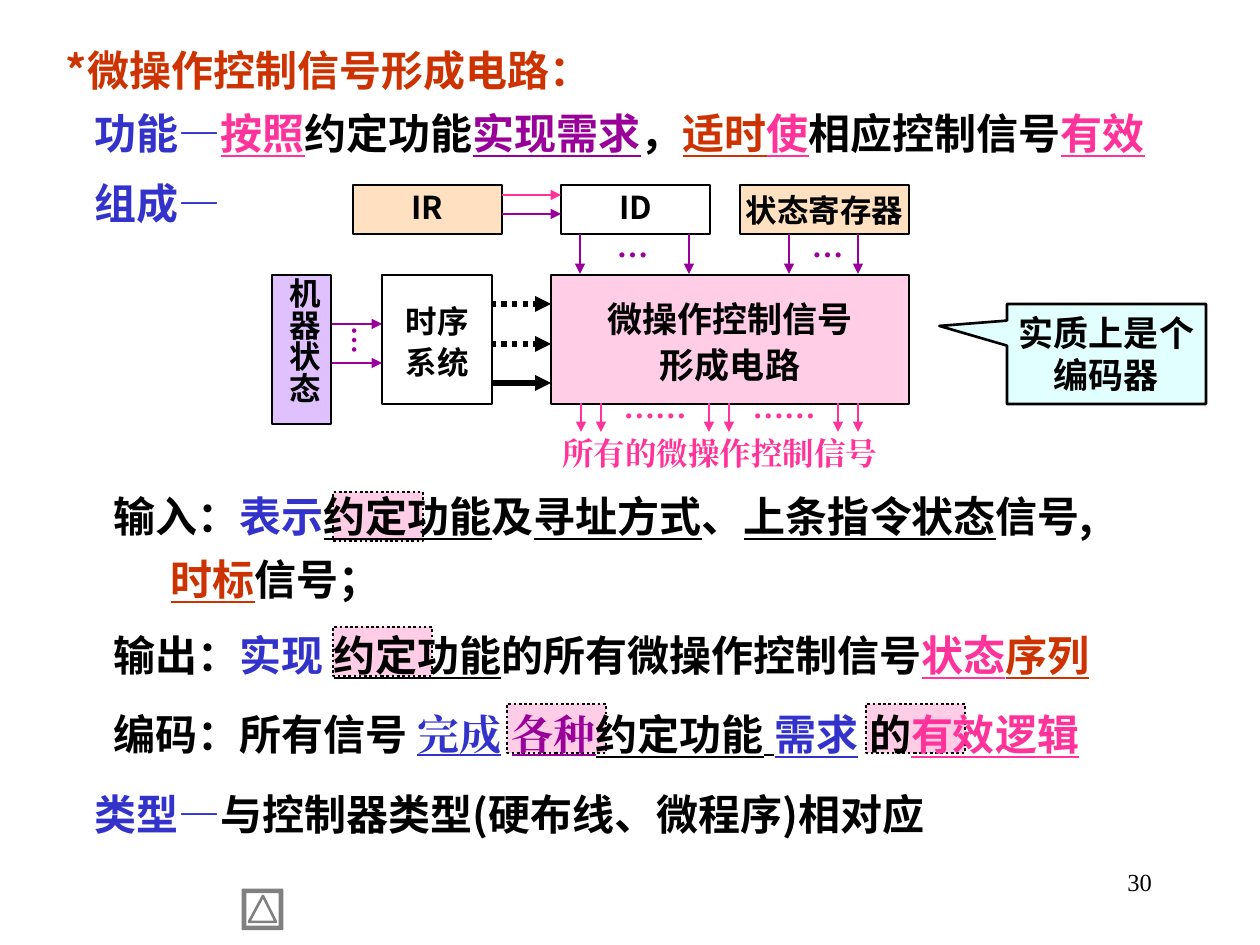
from lxml.etree import SubElement
from pptx import Presentation
from pptx.dml.color import RGBColor
from pptx.enum.dml import MSO_LINE
from pptx.enum.shapes import MSO_CONNECTOR, MSO_SHAPE
from pptx.enum.text import MSO_ANCHOR, PP_ALIGN
from pptx.oxml.ns import qn
from pptx.util import Pt

SCALE = 914400 / 126  # EMU per px
SANS = "Noto Sans CJK SC"
SERIF = "Times New Roman"

BLACK = RGBColor(0, 0, 0)
GRAY = RGBColor(0x80, 0x80, 0x80)
RED = RGBColor(0xCC, 0x33, 0x00)
BLUE = RGBColor(0x33, 0x33, 0xCC)
PINK = RGBColor(0xFF, 0x33, 0x99)
PURPLE = RGBColor(0x99, 0x00, 0x99)
ROSE = RGBColor(0xFF, 0x99, 0xCC)
PEACH = RGBColor(0xFF, 0xCC, 0x99)
LILAC = RGBColor(0xCC, 0x99, 0xFF)
AQUA = RGBColor(0xCC, 0xFF, 0xFF)


def px(*lengths):
    return [round(length * SCALE) for length in lengths]


def format_span(span, size, color, font=SANS, bold=True, underline=False):
    span.font.size = Pt(size)
    span.font.bold = bold
    span.font.color.rgb = color
    span.font.name = font
    if underline:
        span.font.underline = True
    SubElement(span.font._element, qn("a:ea")).set("typeface", font)


def set_frame(box, insets, anchor=MSO_ANCHOR.TOP, vertical=False):
    frame = box.text_frame
    frame.word_wrap = True
    frame.vertical_anchor = anchor
    (frame.margin_left, frame.margin_top,
     frame.margin_right, frame.margin_bottom) = px(*insets)
    if vertical:
        frame._txBody.bodyPr.set("vert", "eaVert")
    return frame


def write_label(box, text, size=18, color=BLACK, font=SANS, spacing=1.0,
                vertical=False, align=PP_ALIGN.CENTER):
    insets = (1, 3, 1, 3) if vertical else (3, 1, 3, 1)
    frame = set_frame(box, insets, MSO_ANCHOR.MIDDLE, vertical)
    frame.text = text
    for para in frame.paragraphs:
        para.alignment = align
        para.line_spacing = spacing
        for span in para.runs:
            format_span(span, size, color, font)


def add_block(page, place, fill=None, opacity=60, kind=MSO_SHAPE.RECTANGLE):
    block = page.shapes.add_shape(kind, *px(*place))
    block.shadow.inherit = False
    block.line.color.rgb = BLACK
    block.line.width = Pt(1.5)
    if fill is None:
        block.fill.background()
    else:
        block.fill.solid()
        block.fill.fore_color.rgb = fill
        tint = block.fill._xPr.find(qn("a:solidFill"))[0]
        SubElement(tint, qn("a:alpha")).set("val", str(opacity * 1000))
    return block


def add_highlight(page, left, top, width=99):
    block = add_block(page, (left, top, width, 49), ROSE, 49)
    block.line.dash_style = MSO_LINE.ROUND_DOT


def add_label(page, place, text, **style):
    write_label(page.shapes.add_textbox(*px(*place)), text, **style)


def add_arrow(page, start, end, color, width=1.5, dotted=False):
    arrow = page.shapes.add_connector(MSO_CONNECTOR.STRAIGHT, *px(*start, *end))
    arrow.line.color.rgb = color
    arrow.line.width = Pt(width)
    if dotted:
        arrow.line.dash_style = MSO_LINE.ROUND_DOT
    SubElement(arrow.line._get_or_add_ln(), qn("a:tailEnd")).set("type", "triangle")
    SubElement(arrow._element.spPr, qn("a:effectLst"))


def add_statement(page, top, *lines):
    """Add a text box; each line is (indent px, [(text, color[, underline[, font]])])."""
    box = page.shapes.add_textbox(*px(25, top, 1211, 76 if len(lines) == 1 else 139))
    frame = set_frame(box, (13, 6, 13, 6))
    for number, (indent, spans) in enumerate(lines):
        para = frame.add_paragraph() if number else frame.paragraphs[0]
        para.line_spacing = 1.25
        para._p.get_or_add_pPr().set("marL", str(px(indent)[0]))
        for text, color, *style in spans:
            underline, font = (style + [False, SANS][len(style):])
            span = para.add_run()
            span.text = text
            format_span(span, 24, color, font, underline=underline)


def add_return_button(page):
    outer = [(243, 890), (282, 890), (282, 929), (243, 929)]
    inner = [(245, 892), (280, 892), (280, 927), (245, 927)]
    outlines = [[outer[i - 1], outer[i], inner[i], inner[i - 1]] for i in range(4)]
    outlines.append([(263, 896), (276, 922), (249, 922)])
    builder = page.shapes.build_freeform(*outlines[0][0], scale=SCALE)
    for number, points in enumerate(outlines):
        if number:
            builder.move_to(*points[0])
        builder.add_line_segments(points[1:], close=True)
    button = builder.convert_to_shape()
    button.shadow.inherit = False
    button.fill.background()
    button.line.color.rgb = GRAY
    button.line.width = Pt(1.5)


def add_circuit(page):
    write_label(add_block(page, (382, 275, 110, 129)), "时序\n系统", spacing=1.1)
    write_label(add_block(page, (551, 275, 358, 129), ROSE, 49),
                "微操作控制信号\n形成电路", size=20, spacing=1.1)
    write_label(add_block(page, (353, 185, 149, 49), PEACH), "IR", spacing=0.85)
    write_label(add_block(page, (561, 185, 149, 49)), "ID", spacing=0.85)
    write_label(add_block(page, (740, 185, 169, 49), PEACH), "状态寄存器")
    write_label(add_block(page, (272, 275, 59, 149), LILAC), "机器状态",
                spacing=0.9, vertical=True)

    for y, color in ((195, PINK), (214, PURPLE)):
        add_arrow(page, (502, y), (561, y), color)
    for y in (324, 363):
        add_arrow(page, (332, y), (382, y), PURPLE)
    for y, dotted in ((304, True), (344, True), (383, False)):
        add_arrow(page, (491, y), (551, y), BLACK, 3, dotted)
    for x in (580, 689, 789, 858):
        add_arrow(page, (x, 234), (x, 274), PURPLE)
    for x in (581, 601, 709, 729, 838, 858):
        add_arrow(page, (x, 403), (x, 432), PINK)

    for x in (614, 809):
        add_label(page, (x, 234, 35, 29), "…", color=PURPLE, font=SERIF,
                  spacing=0.8, align=PP_ALIGN.LEFT)
    add_label(page, (343, 324, 35, 40), "…", size=16, color=PURPLE, font=SERIF,
              spacing=0.8, vertical=True)
    for x in (600, 729):
        add_label(page, (x, 393, 110, 30), "……", color=PINK, font=SERIF, spacing=0.9)
    add_label(page, (551, 433, 338, 39), "所有的微操作控制信号", color=PINK, font=SERIF)

    callout = add_block(page, (1007, 304, 199, 100), AQUA, 59,
                        MSO_SHAPE.RECTANGULAR_CALLOUT)
    callout.adjustments[0] = -0.84
    callout.adjustments[1] = -0.28
    write_label(callout, "实质上是个编码器", size=20)


def add_statements(page):
    add_statement(
        page, 26,
        (28, [("*微操作控制信号形成电路：", RED)]),
        (57, [("功能—", BLUE), ("按照", PINK, True), ("约定功能", BLACK),
              ("实现需求", PURPLE, True), ("，", BLACK), ("适时", RED, True),
              ("使", PINK, True), ("相应控制信号", BLACK), ("有效", PINK, True)]))
    add_statement(page, 159, (57, [("组成—", BLUE)]))
    add_statement(page, 770, (57, [("类型—", BLUE),
                                   ("与控制器类型(硬布线、微程序)相对应", BLACK)]))
    add_highlight(page, 333, 627)
    add_statement(
        page, 611,
        (76, [("输出：", BLACK), ("实现 ", BLUE), ("约定功能", BLACK, True),
              ("的所有微操作控制信号", BLACK), ("状态", PINK, True),
              ("序列", RED, True)]))
    add_highlight(page, 333, 492, 90)
    add_statement(
        page, 472,
        (76, [("输入：", BLACK), ("表示", BLUE), ("约定功能", BLACK, True),
              ("及", BLACK), ("寻址方式", BLACK, True), ("、", BLACK),
              ("上条指令状态", BLACK, True), ("信号,", BLACK)]),
        (133, [("时标", RED, True), ("信号；", BLACK)]))
    for left in (507, 866):
        add_highlight(page, left, 704)
    add_statement(
        page, 690,
        (76, [("编码：所有信号 ", BLACK), ("完成", BLUE, True, SERIF),
              (" ", BLUE, False, SERIF), ("各种", PURPLE, True, SERIF),
              ("约定功能", BLACK, True), (" ", BLACK, True, SERIF),
              ("需求", BLUE, True), (" ", BLUE, False, SERIF),
              ("的", BLACK), ("有效逻辑", PINK, True)]))


def add_page_number(page):
    box = page.shapes.add_textbox(*px(903, 861, 262, 63))
    frame = set_frame(box, (13, 6, 13, 6))
    frame.text = "30"
    para = frame.paragraphs[0]
    para.alignment = PP_ALIGN.RIGHT
    format_span(para.runs[0], 14, BLACK, SERIF, bold=False)


def main():
    deck = Presentation()
    deck.slide_width, deck.slide_height = px(1260, 945)
    page = deck.slides.add_slide(deck.slide_layouts[6])
    add_page_number(page)
    add_circuit(page)
    add_statements(page)
    add_return_button(page)
    deck.save("out.pptx")


if __name__ == "__main__":
    main()
